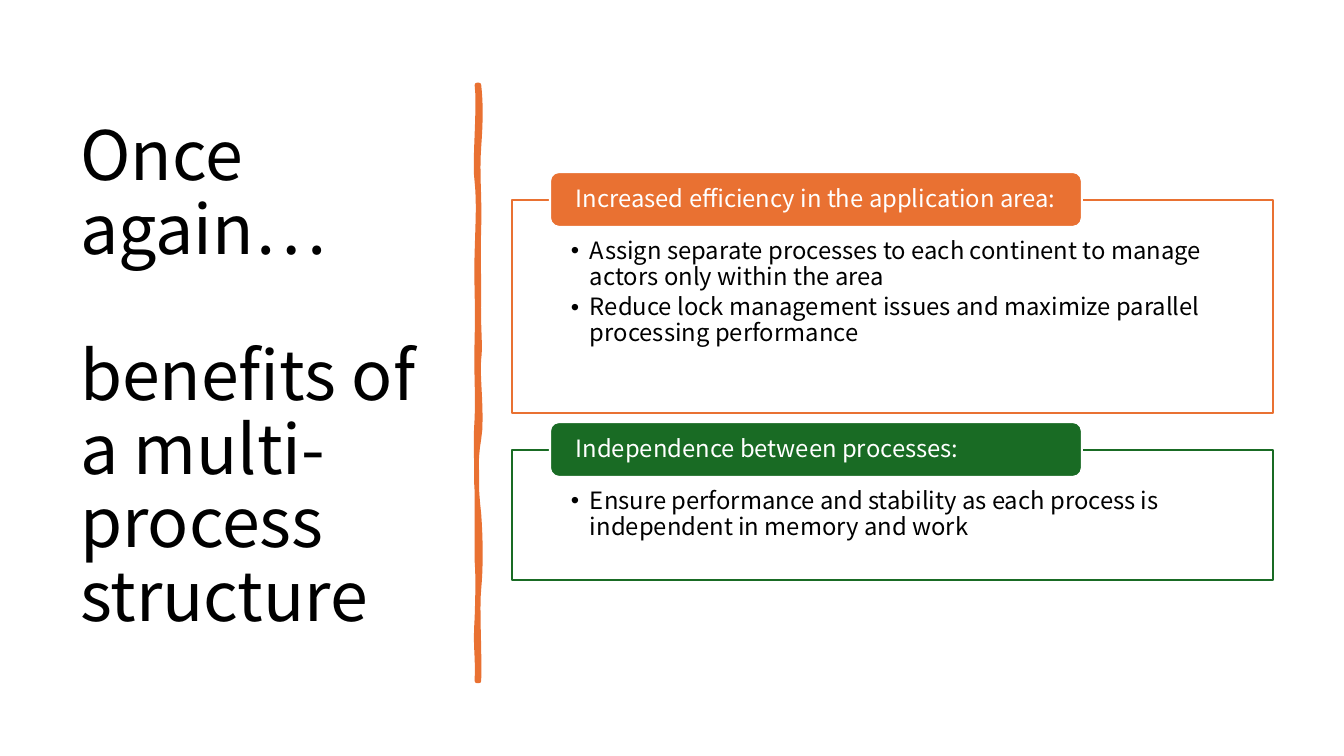
from dataclasses import dataclass

from lxml.etree import SubElement
from pptx import Presentation
from pptx.dml.color import RGBColor
from pptx.enum.shapes import MSO_SHAPE
from pptx.enum.text import MSO_ANCHOR, MSO_AUTO_SIZE, PP_ALIGN
from pptx.oxml.ns import qn
from pptx.util import Pt

EMU_PER_PX = 12192000 / 1344


@dataclass(frozen=True)
class Theme:
    """Colours, font and type sizes of the slide."""

    font: str = "Noto Sans CJK KR"
    black: str = "000000"
    white: str = "FFFFFF"
    orange: str = "E97132"
    green: str = "196B24"
    title_size: float = 48.6
    body_size: float = 17
    line_spacing: float = 0.9
    border: float = 1.5
    stroke: float = 3.25


THEME = Theme()

TITLE = ["Once again…", "benefits of a multi-process structure"]

BENEFITS = [
    (200, 213, THEME.orange, "Increased efficiency in the application area:", [
        "Assign separate processes to each continent to manage actors only within the area",
        "Reduce lock management issues and maximize parallel processing performance",
    ]),
    (450, 130, THEME.green, "Independence between processes:", [
        "Ensure performance and stability as each process is independent in memory and work",
    ]),
]

RIGHT_EDGE = [
    (479, 85), (481, 103), (481, 120), (479, 147), (477, 174), (480, 197), (479, 228),
    (478, 259), (479, 264), (479, 296), (478, 328), (481, 345), (479, 359),
    (477, 373), (483, 417), (479, 439), (475, 461), (476, 488), (479, 514),
    (481, 540), (481, 569), (479, 589), (477, 608), (480, 655), (479, 681),
]
LEFT_EDGE = [
    (477, 681), (478, 651), (475, 649), (477, 618), (478, 588), (478, 575), (477, 561),
    (477, 548), (477, 499), (477, 481), (477, 463), (475, 449), (477, 418),
    (478, 389), (476, 376), (477, 338), (478, 300), (476, 283), (477, 252),
    (478, 220), (479, 201), (477, 182), (474, 164), (480, 105), (477, 85),
]


def px(length):
    """Turn a length in px into EMU."""
    return round(length * EMU_PER_PX)


def apply_format(target, values):
    """Set each named attribute of the target."""
    for name, value in values.items():
        setattr(target, name, value)


def paint(shape, fill, line, width):
    """Give a shape a flat fill and line without shadow."""
    shape.shadow.inherit = False
    shape.fill.solid()
    shape.fill.fore_color.rgb = RGBColor.from_string(fill)
    shape.line.color.rgb = RGBColor.from_string(line)
    shape.line.width = Pt(width)


def set_frame(shape, anchor, left, top, right, bottom):
    """Set the wrapping, anchor and px insets of a text frame."""
    apply_format(shape.text_frame, {
        "word_wrap": True, "auto_size": MSO_AUTO_SIZE.NONE, "vertical_anchor": anchor,
        "margin_left": px(left), "margin_top": px(top),
        "margin_right": px(right), "margin_bottom": px(bottom),
    })


def write(shape, texts, size, color, gap=0, bulleted=False):
    """Write left-aligned paragraphs with a gap in points between them."""
    text_frame = shape.text_frame
    for index, text in enumerate(texts):
        paragraph = text_frame.add_paragraph() if index else text_frame.paragraphs[0]
        if bulleted:
            add_bullet(paragraph)
        apply_format(paragraph, {
            "alignment": PP_ALIGN.LEFT, "line_spacing": THEME.line_spacing,
            "space_before": Pt(gap if index else 0), "space_after": Pt(0),
        })
        run = paragraph.add_run()
        run.text = text
        apply_format(run.font, {"name": THEME.font, "size": Pt(size), "bold": False})
        run.font.color.rgb = RGBColor.from_string(color)


def add_bullet(paragraph):
    """Give a paragraph a hanging round bullet."""
    paragraph.level = 1
    properties = paragraph._p.get_or_add_pPr()
    properties.set("marL", str(px(19)))
    properties.set("indent", str(-px(19)))
    SubElement(properties, qn("a:buFont")).set("typeface", "Arial")
    SubElement(properties, qn("a:buChar")).set("char", "•")


def add_title(slide):
    """Place and write the title."""
    title = slide.shapes.title
    apply_format(title, {"left": px(70), "top": px(71), "width": px(377), "height": px(616)})
    set_frame(title, MSO_ANCHOR.MIDDLE, 10, 5, 10, 5)
    write(title, TITLE, THEME.title_size, THEME.black, gap=52)


def trace_curve(controls, steps=8):
    """Return points in EMU along a chain of cubic curves."""
    points = [controls[0]]
    for start in range(0, len(controls) - 1, 3):
        first, second, third, fourth = controls[start:start + 4]
        for step in range(1, steps + 1):
            t = step / steps
            u = 1 - t
            points.append(tuple(
                u**3 * a + 3 * u**2 * t * b + 3 * u * t**2 * c + t**3 * d
                for a, b, c, d in zip(first, second, third, fourth)))
    return [(px(x), px(y)) for x, y in points]


def add_brush_stroke(slide):
    """Draw the wavy upright divider."""
    outline = trace_curve(RIGHT_EDGE) + trace_curve(LEFT_EDGE)
    builder = slide.shapes.build_freeform(*outline[0])
    builder.add_line_segments(outline[1:], close=True)
    paint(builder.convert_to_shape(), THEME.orange, THEME.orange, THEME.stroke)


def add_box(slide, kind, left, top, width, height):
    """Add a preset shape placed in px."""
    return slide.shapes.add_shape(kind, px(left), px(top), px(width), px(height))


def add_benefit(slide, top, height, color, heading, points):
    """Draw a framed list with a heading tab on its upper edge."""
    frame = add_box(slide, MSO_SHAPE.RECTANGLE, 512, top, 761, height)
    paint(frame, THEME.white, color, THEME.border)
    fill_color = frame._element.spPr.find(qn("a:solidFill"))[0]
    SubElement(fill_color, qn("a:alpha")).set("val", "90000")
    set_frame(frame, MSO_ANCHOR.TOP, 59, 39, 59, 13)
    write(frame, points, THEME.body_size, THEME.black, gap=3.5, bulleted=True)

    tab = add_box(slide, MSO_SHAPE.ROUNDED_RECTANGLE, 550, top - 28, 532, 55)
    paint(tab, color, THEME.white, THEME.border)
    set_frame(tab, MSO_ANCHOR.MIDDLE, 23, 0, 23, 0)
    write(tab, [heading], THEME.body_size, THEME.white)


def main():
    """Build and save the slide."""
    presentation = Presentation()
    apply_format(presentation, {"slide_width": px(1344), "slide_height": px(756)})
    slide = presentation.slides.add_slide(presentation.slide_layouts.get_by_name("Title Only"))
    add_title(slide)
    add_brush_stroke(slide)
    for benefit in BENEFITS:
        add_benefit(slide, *benefit)
    presentation.save("out.pptx")


if __name__ == "__main__":
    main()
